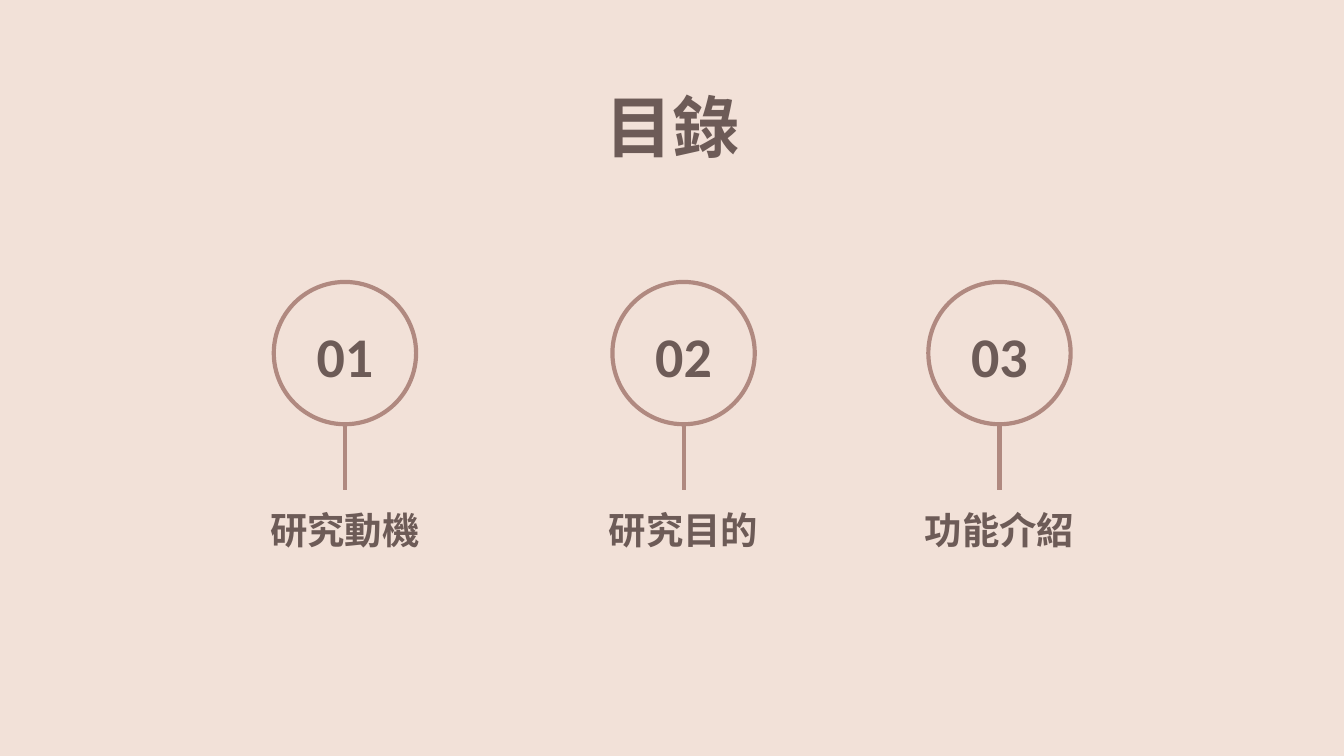
import dataclasses

import lxml.etree
import pptx
import pptx.dml.color
import pptx.enum.shapes
import pptx.enum.text
import pptx.oxml.ns
import pptx.util
from pptx.util import Cm


@dataclasses.dataclass(frozen=True)
class Theme:
    background: str = "F2E1D8"
    ink: str = "6D5B57"
    accent: str = "B08980"
    font: str = "Calibri"
    title_size: int = 36
    number_size: int = 30
    label_size: int = 20
    line_width: float = 2.25


THEME = Theme()
CHAPTERS = [
    ("01", "研究動機", 6.52),
    ("02", "研究目的", 12.92),
    ("03", "功能介紹", 18.89),
]
CIRCLE_TOP = 5.33
CIRCLE_SIZE = 2.69
CIRCLE_BOTTOM = CIRCLE_TOP + CIRCLE_SIZE
LABEL_TOP = 9.27
CHAPTER_WIDTH = 6.5


def color(value):
    return pptx.dml.color.RGBColor.from_string(value)


def style_line(line):
    line.color.rgb = color(THEME.accent)
    line.width = pptx.util.Pt(THEME.line_width)


def add_text(slide, wording, center, top, width, height, size,
             anchor=pptx.enum.text.MSO_ANCHOR.MIDDLE):
    box = slide.shapes.add_textbox(
        Cm(center - width / 2), Cm(top), Cm(width), Cm(height))
    frame = box.text_frame
    frame.word_wrap = True
    frame.vertical_anchor = anchor
    frame.margin_left = frame.margin_right = Cm(0.25)
    frame.margin_top = frame.margin_bottom = Cm(0.25)
    frame.text = wording
    paragraph = frame.paragraphs[0]
    paragraph.alignment = pptx.enum.text.PP_ALIGN.CENTER
    font = paragraph.runs[0].font
    font.name = THEME.font
    font.size = pptx.util.Pt(size)
    font.bold = True
    font.color.rgb = color(THEME.ink)


def add_circle(slide, center):
    circle = slide.shapes.add_shape(
        pptx.enum.shapes.MSO_SHAPE.OVAL,
        Cm(center - CIRCLE_SIZE / 2), Cm(CIRCLE_TOP),
        Cm(CIRCLE_SIZE), Cm(CIRCLE_SIZE))
    circle.shadow.inherit = False
    circle.fill.background()
    style_line(circle.line)


def add_stem(slide, center):
    stem = slide.shapes.add_connector(
        pptx.enum.shapes.MSO_CONNECTOR.STRAIGHT,
        Cm(center), Cm(CIRCLE_BOTTOM), Cm(center), Cm(LABEL_TOP))
    style_line(stem.line)
    lxml.etree.SubElement(
        stem._element.spPr, pptx.oxml.ns.qn("a:effectLst"))


def add_chapter(slide, number, label, center):
    add_circle(slide, center)
    add_stem(slide, center)
    add_text(slide, number, center, 5.89, CHAPTER_WIDTH, 1.65,
             THEME.number_size)
    add_text(slide, label, center, LABEL_TOP, CHAPTER_WIDTH, 1.47,
             THEME.label_size)


def main():
    deck = pptx.Presentation()
    deck.slide_width = Cm(25.4)
    deck.slide_height = Cm(14.29)
    slide = deck.slides.add_slide(deck.slide_layouts[6])
    slide.background.fill.solid()
    slide.background.fill.fore_color.rgb = color(THEME.background)

    add_text(slide, "目錄", 12.71, 1.37, 21.41, 1.6, THEME.title_size,
             pptx.enum.text.MSO_ANCHOR.TOP)
    for number, label, center in CHAPTERS:
        add_chapter(slide, number, label, center)

    deck.save("out.pptx")


if __name__ == "__main__":
    main()
